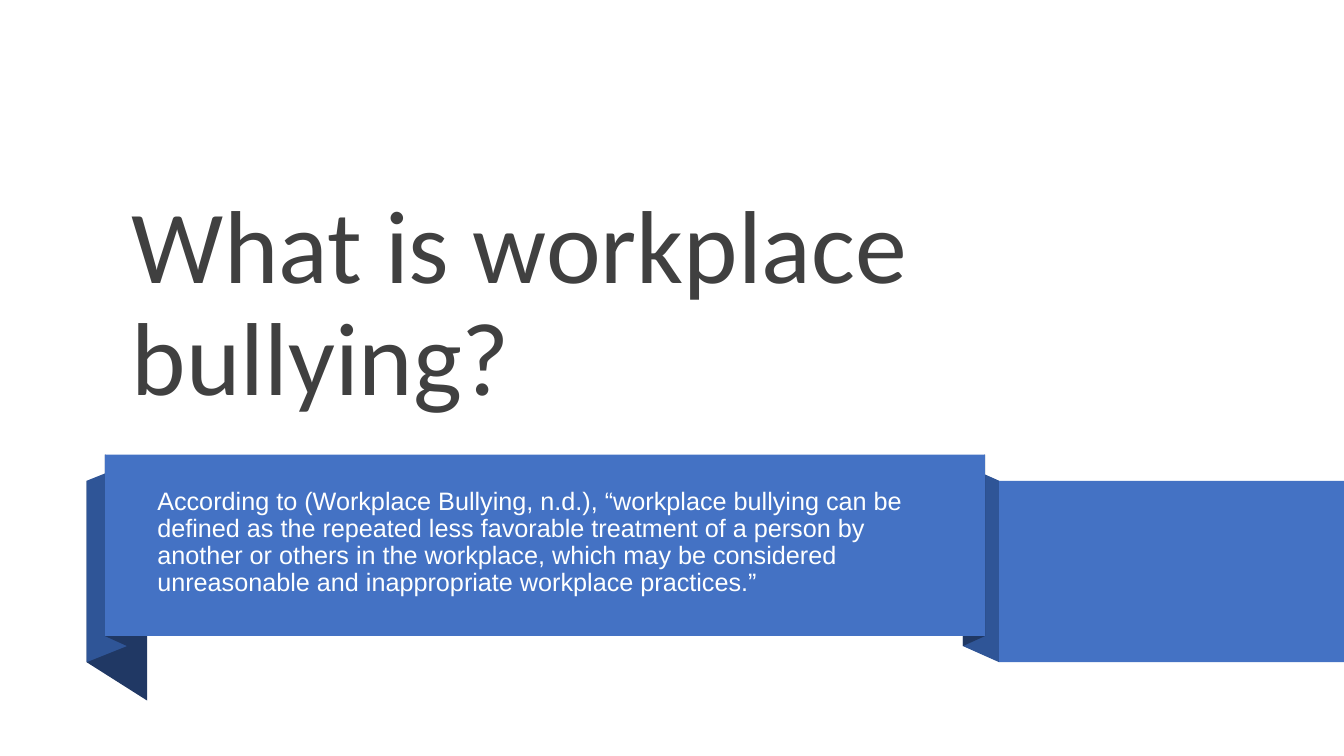
from pptx import Presentation
from pptx.dml.color import RGBColor
from pptx.enum.shapes import MSO_SHAPE
from pptx.enum.text import MSO_ANCHOR, PP_ALIGN
from pptx.util import Inches, Pt

RECTANGLE = MSO_SHAPE.RECTANGLE
BOTTOM, MIDDLE = MSO_ANCHOR.BOTTOM, MSO_ANCHOR.MIDDLE
LEFT = PP_ALIGN.LEFT

BLUE = RGBColor(0x44, 0x72, 0xC4)
FOLD_BLUE = RGBColor(0x2F, 0x55, 0x97)
DEEP_BLUE = RGBColor(0x20, 0x38, 0x64)
TITLE_GREY = RGBColor(0x40, 0x40, 0x40)
OFF_WHITE = RGBColor(0xFE, 0xFF, 0xFF)

SLIDE_WIDTH, SLIDE_HEIGHT = 13.33, 7.5


def paint(shape, color):
    shape.shadow.inherit = False
    shape.fill.solid()
    shape.fill.fore_color.rgb = color
    shape.line.fill.background()


def add_text(slide, box, text, *, font, size, color, anchor, indent=0, after=0):
    frame = slide.shapes.add_textbox(*map(Inches, box)).text_frame
    frame.word_wrap = True
    frame.vertical_anchor = anchor
    paragraph = frame.paragraphs[0]
    paragraph.alignment = LEFT
    paragraph.line_spacing = 0.9
    paragraph.space_after = Pt(after)
    if indent:
        frame.margin_left = Inches(0.1 + indent)
    run = paragraph.add_run()
    run.text = text
    run.font.name = font
    run.font.size = Pt(size)
    run.font.color.rgb = color


def add_panel(slide, box, color):
    paint(slide.shapes.add_shape(RECTANGLE, *map(Inches, box)), color)


def add_fold(slide, start, end, height, color):
    (x1, y1), (x2, y2) = start, end
    corners = [(x1, y1), (x2, y2), (x2, y2 + height), (x1, y1 + height)]
    points = [(Inches(x), Inches(y)) for x, y in corners]
    builder = slide.shapes.build_freeform(*points[0])
    builder.add_line_segments(points[1:], close=True)
    paint(builder.convert_to_shape(), color)


def add_title(slide, box):
    add_text(slide, box, "What is workplace bullying?",
             font="Calibri", size=74, color=TITLE_GREY, anchor=BOTTOM)


def add_ribbon(slide, box):
    left, top, width, height = box
    right = left + width
    outer_left, outer_right = left - 0.18, right + 0.14
    inner_left, inner_right = left + 0.22, right - 0.22
    fold_top, band_top = top + 0.1, top + 0.26

    add_fold(slide, (outer_left, band_top), (left + 0.42, top + 0.64), height, DEEP_BLUE)
    for edge, outer, inner in ((left, outer_left, inner_left),
                               (right, outer_right, inner_right)):
        add_fold(slide, (outer, band_top), (inner, fold_top), height, FOLD_BLUE)
        add_fold(slide, (edge, top), (inner, fold_top), height, DEEP_BLUE)

    add_panel(slide, box, BLUE)
    add_text(slide, (left + 0.17, top + 0.28, width - 0.35, 1.19),
             "According to (Workplace Bullying, n.d.), “workplace bullying can be "
             "defined as the repeated less favorable treatment of a person by another "
             "or others in the workplace, which may be considered unreasonable and "
             "inappropriate workplace practices.”",
             font="Arial", size=18, color=OFF_WHITE, anchor=MIDDLE, indent=0.25, after=6)
    add_panel(slide, (outer_right, band_top, SLIDE_WIDTH - outer_right, height), BLUE)


def main():
    deck = Presentation()
    deck.slide_width = Inches(SLIDE_WIDTH)
    deck.slide_height = Inches(SLIDE_HEIGHT)
    slide = deck.slides.add_slide(deck.slide_layouts[6])
    add_title(slide, (1.21, 0.7, 8.38, 3.49))
    add_ribbon(slide, (1.04, 4.51, 8.73, 1.8))
    deck.save("out.pptx")


if __name__ == "__main__":
    main()
